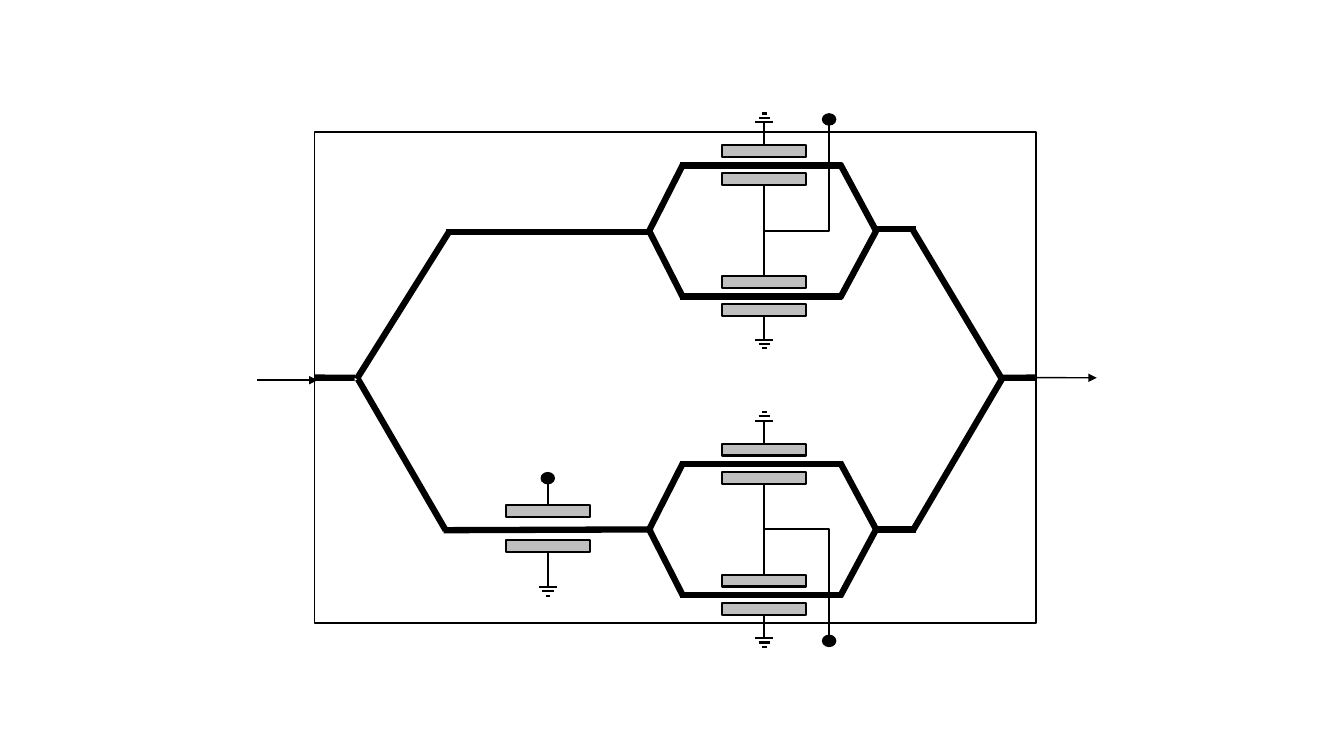
from lxml import etree
from pptx import Presentation
from pptx.dml.color import RGBColor
from pptx.enum.shapes import MSO_CONNECTOR as CONN, MSO_SHAPE as SHAPE
from pptx.oxml.ns import qn
from pptx.util import Cm, Pt

BLACK, GREY = "000000", "BFBFBF"
THIN, WIRE, GUIDE = 1, 1.5, 4.5
TOP, LEFT, BOTTOM, RIGHT = range(4)
PLATE_W, PLATE_H = 2.11, 0.3
UPPER_Y, MIDDLE_Y, LOWER_Y = 5.82, 9.52, 13.34


def rgb(value):
    return RGBColor.from_string(value)


def add_box(shapes, kind, x, y, w, h, fill=None, weight=THIN):
    sp = shapes.add_shape(kind, Cm(x), Cm(y), Cm(w), Cm(h))
    sp.shadow.inherit = False
    if fill:
        sp.fill.solid()
        sp.fill.fore_color.rgb = rgb(fill)
    else:
        sp.fill.background()
    sp.line.color.rgb = rgb(BLACK)
    sp.line.width = Pt(weight)
    return sp


def add_line(shapes, x1, y1, x2, y2, weight, start=None, end=None, kind=CONN.STRAIGHT):
    cxn = shapes.add_connector(kind, Cm(x1), Cm(y1), Cm(x2), Cm(y2))
    cxn.line.color.rgb = rgb(BLACK)
    cxn.line.width = Pt(weight)
    etree.SubElement(cxn._element.spPr, qn("a:effectLst"))
    if start:
        cxn.begin_connect(*start)
    if end:
        cxn.end_connect(*end)
    return cxn


def add_arrow(shapes, x1, x2, y, start=None):
    cxn = add_line(shapes, x1, y, x2, y, THIN, start)
    etree.SubElement(cxn.line._get_or_add_ln(), qn("a:tailEnd"), type="triangle")


def add_elbow(shapes, x1, y1, x2, y2):
    cxn = add_line(shapes, x1, y1, x2, y2, WIRE, kind=CONN.ELBOW)
    cxn._element.spPr.find(qn("a:prstGeom")).set("prst", "bentConnector2")


def add_plate(shapes, x, y):
    return add_box(shapes, SHAPE.RECTANGLE, x - PLATE_W / 2, y,
                   PLATE_W, PLATE_H, GREY, WIRE)


def add_terminal(shapes, x, y):
    add_box(shapes, SHAPE.OVAL, x - 0.17, y - 0.14, 0.33, 0.28, BLACK)


def add_ground(shapes, x, y, side, plate):
    site = TOP if side < 0 else BOTTOM
    add_line(shapes, x, y, x, y, WIRE, start=(plate, site))
    for i, half in enumerate((0.23, 0.14, 0.06)):
        bar_y = y + side * i * 0.11
        add_line(shapes, x - half, bar_y, x + half, bar_y, WIRE)


def add_modulator(shapes, y, control_side):
    x, control_x = 19.26, 20.9
    plates = [add_plate(shapes, x, y + dy) for dy in (-2.16, -1.45, 1.14, 1.85)]
    add_line(shapes, x, y, x, y, WIRE, (plates[1], BOTTOM), (plates[2], TOP))
    add_elbow(shapes, x, y, control_x, y + control_side * 2.74)
    add_terminal(shapes, control_x, y + control_side * 2.81)
    for side, plate in ((-1, plates[0]), (1, plates[3])):
        add_ground(shapes, x, y + side * 2.74, side, plate)
        arm_y, corner_y = y + side * 1.65, y + side * 1.69
        add_line(shapes, 17.15, arm_y, 21.23, arm_y, GUIDE)
        add_line(shapes, 17.22, corner_y, 16.36, y, GUIDE)
        add_line(shapes, 21.17, corner_y, 22.08, y, GUIDE)


def add_phase_shifter(shapes, y):
    x = 13.81
    upper, lower = [add_plate(shapes, x, y + dy) for dy in (-0.61, 0.27)]
    add_line(shapes, x, y - 1.17, x, y, WIRE, end=(upper, TOP))
    add_terminal(shapes, x, y - 1.29)
    add_ground(shapes, x, y + 1.45, 1, lower)


def add_waveguides(shapes, frame):
    add_line(shapes, 7.92, MIDDLE_Y, 8.94, MIDDLE_Y, GUIDE, start=(frame, LEFT))
    add_line(shapes, 25.17, MIDDLE_Y, 26.11, MIDDLE_Y, GUIDE, end=(frame, RIGHT))
    for x1, y1, x2, y2 in (
        (11.23, 5.84, 16.46, 5.84),
        (11.18, 13.36, 16.46, 13.34),
        (22.05, 5.77, 23.09, 5.77),
        (22.05, 13.34, 23.09, 13.34),
        (22.99, 5.77, 25.25, 9.55),
        (23.01, 13.36, 25.25, 9.55),
        (11.33, 5.82, 8.99, 9.55),
        (11.23, 13.36, 9.02, 9.55),
    ):
        add_line(shapes, x1, y1, x2, y2, GUIDE)


def main():
    prs = Presentation()
    prs.slide_width, prs.slide_height = Cm(33.87), Cm(19.05)
    shapes = prs.slides.add_slide(prs.slide_layouts[6]).shapes
    frame = add_box(shapes, SHAPE.RECTANGLE, 7.92, 3.33, 18.19, 12.37)
    add_modulator(shapes, UPPER_Y, -1)
    add_modulator(shapes, LOWER_Y, 1)
    add_phase_shifter(shapes, LOWER_Y)
    add_waveguides(shapes, frame)
    add_arrow(shapes, 6.48, 8, 9.58)
    add_arrow(shapes, 26.11, 27.64, MIDDLE_Y, start=(frame, RIGHT))
    prs.save("out.pptx")


if __name__ == "__main__":
    main()
